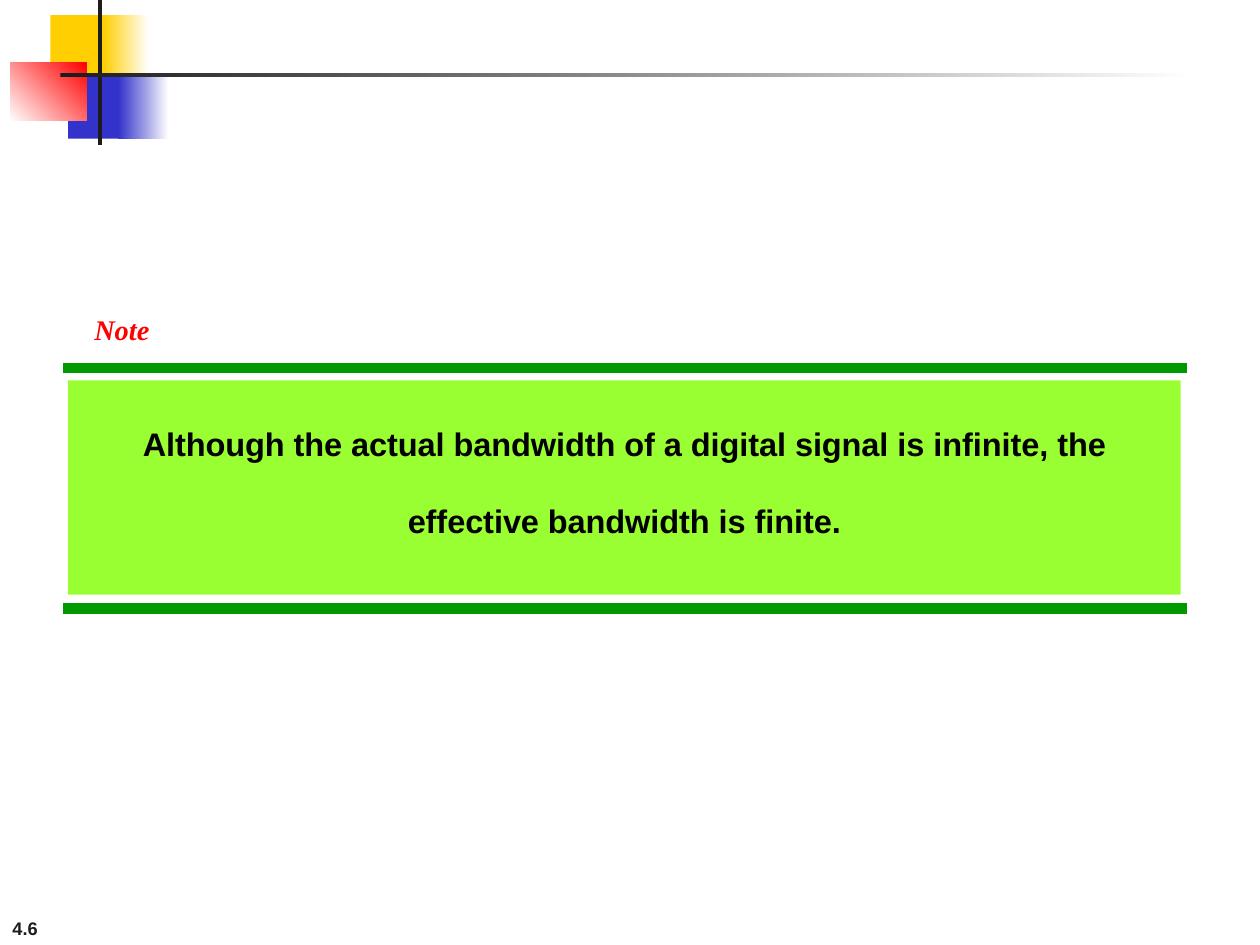
from pptx import Presentation
from pptx.dml.color import RGBColor
from pptx.enum.shapes import MSO_CONNECTOR, MSO_SHAPE
from pptx.enum.text import MSO_ANCHOR, PP_ALIGN
from pptx.oxml.ns import qn
from pptx.util import Inches, Pt
from lxml.etree import SubElement

COLORS = {
    "yellow": "FFCF01",
    "blue": "3333CC",
    "red": "FF0000",
    "dark": "1C1C1C",
    "white": "FFFFFF",
    "green": "009900",
    "lime": "99FF33",
    "black": "000000",
}


def color(name):
    return RGBColor.from_string(COLORS[name])


def add_block(slide, box, *fill_names, angle=0):
    """Add a borderless rectangle, solid for one colour, gradient for two."""
    shape = slide.shapes.add_shape(MSO_SHAPE.RECTANGLE, *map(Inches, box))
    shape.shadow.inherit = False
    shape.line.fill.background()
    if len(fill_names) == 1:
        shape.fill.solid()
        shape.fill.fore_color.rgb = color(fill_names[0])
    else:
        shape.fill.gradient()
        shape.fill.gradient_angle = angle
        for stop, name in zip(shape.fill.gradient_stops, fill_names):
            stop.color.rgb = color(name)
    return shape


def add_rule(slide, top):
    rule = slide.shapes.add_connector(
        MSO_CONNECTOR.STRAIGHT, Inches(0.5), Inches(top), Inches(9.42), Inches(top)
    )
    rule.line.color.rgb = color("green")
    rule.line.width = Pt(6)
    SubElement(rule._element.spPr, qn("a:effectLst"))


def write_lowered(shape, text, color_name, font_format, align=PP_ALIGN.LEFT,
                  anchor=MSO_ANCHOR.TOP, wrap=True):
    """Write one paragraph set as subscript, which draws it smaller and lower."""
    frame = shape.text_frame
    frame.word_wrap = wrap
    frame.vertical_anchor = anchor
    paragraph = frame.paragraphs[0]
    paragraph.alignment = align
    run = paragraph.add_run()
    run.text = text
    for name, value in font_format.items():
        setattr(run.font, name, value)
    run.font.color.rgb = color(color_name)
    run._r.get_or_add_rPr().set("baseline", "-25000")


def add_label(slide, box, *args, **options):
    write_lowered(slide.shapes.add_textbox(*map(Inches, box)), *args, **options)


def add_corner_ornament(slide):
    add_block(slide, (0.4, 0.12, 0.48, 0.52), "yellow")
    add_block(slide, (0.82, 0.12, 0.36, 0.52), "yellow", "white")
    add_block(slide, (0.54, 0.58, 0.46, 0.52), "blue")
    add_block(slide, (0.94, 0.58, 0.4, 0.52), "blue", "white")
    add_block(slide, (0.08, 0.5, 0.61, 0.46), "white", "red", angle=45)
    add_block(slide, (0.78, 0, 0.03, 1.15), "dark")
    add_block(slide, (0.48, 0.58, 9, 0.03), "dark", "white")


def add_note(slide):
    for top in (2.92, 4.83):
        add_rule(slide, top)
    panel = add_block(slide, (0.54, 3.02, 8.83, 1.7), "lime")
    write_lowered(
        panel,
        "Although the actual bandwidth of a digital signal is infinite, "
        "the effective bandwidth is finite.",
        "black",
        {"name": "Arial", "size": Pt(32), "bold": True},
        align=PP_ALIGN.CENTER,
    )
    add_label(
        slide, (0.65, 2.17, 0.96, 0.57), "Note", "red",
        {"name": "Times New Roman", "size": Pt(28), "bold": True, "italic": True},
        wrap=False,
    )


def main():
    presentation = Presentation()
    presentation.slide_width = Inches(10)
    presentation.slide_height = Inches(7.5)
    slide = presentation.slides.add_slide(presentation.slide_layouts[6])
    add_label(
        slide, (0, 7, 2.08, 0.5), "4.6", "dark",
        {"name": "Arial", "size": Pt(18), "bold": True},
        anchor=MSO_ANCHOR.BOTTOM,
    )
    add_corner_ornament(slide)
    add_note(slide)
    presentation.save("out.pptx")


if __name__ == "__main__":
    main()
